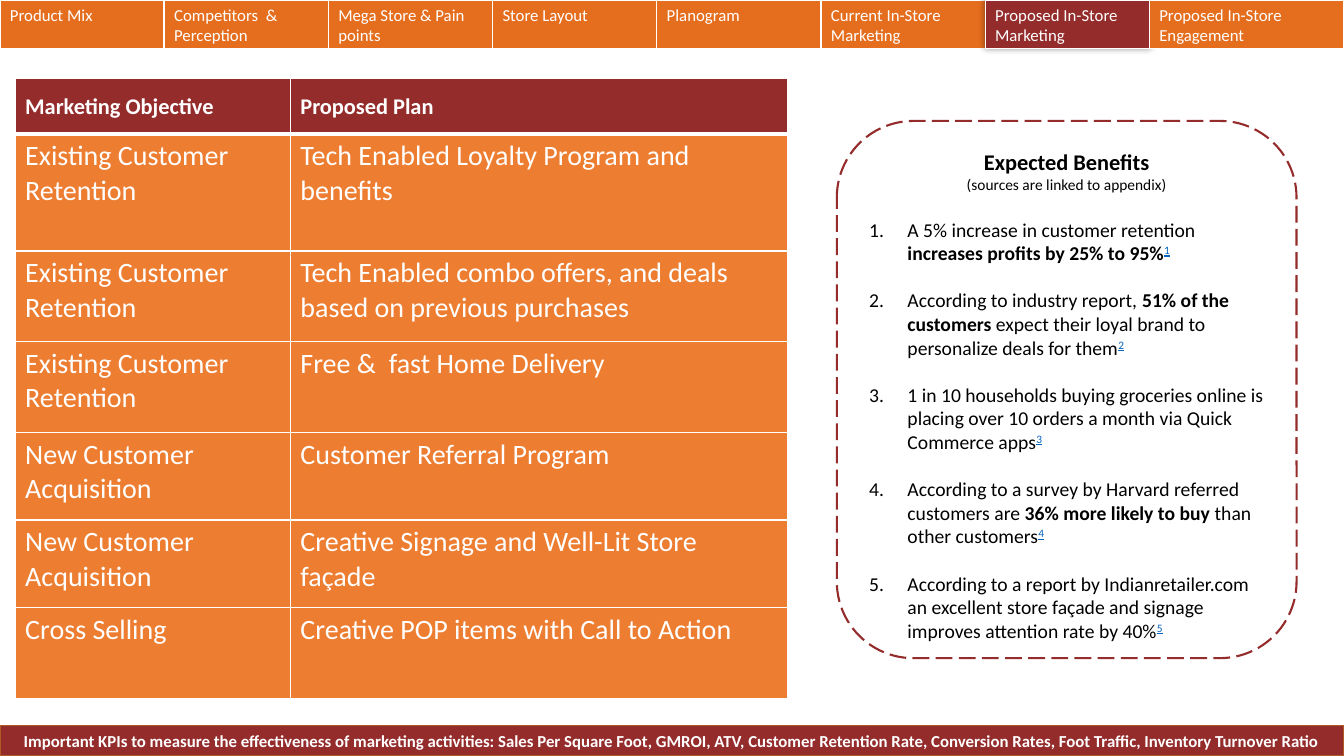
import pptx
import pptx.util
import pptx.dml.color
import pptx.enum.dml
import pptx.enum.shapes
import pptx.enum.text
import pptx.oxml
import pptx.oxml.ns

Inches = pptx.util.Inches
Pt = pptx.util.Pt
SHAPE = pptx.enum.shapes.MSO_SHAPE
ALIGN = pptx.enum.text.PP_ALIGN
ANCHOR = pptx.enum.text.MSO_ANCHOR
NAMESPACE = pptx.oxml.ns.nsdecls("a")
MAROON, ORANGE, WHITE, BLACK = "942C2B", "E56E1E", "FFFFFF", "000000"


def color(hex_string):
    return pptx.dml.color.RGBColor.from_string(hex_string)


def style(span, size, hex_string, bold=False):
    span.font.name = "Calibri"
    span.font.size = Pt(size)
    span.font.bold = bold
    span.font.color.rgb = color(hex_string)


deck = pptx.Presentation()
deck.slide_width = Inches(13.33)
deck.slide_height = Inches(7.5)
page = deck.slides.add_slide(deck.slide_layouts[6])

plans = [
    ("Marketing Objective", "Proposed Plan", 0.55),
    ("Existing Customer Retention", "Tech Enabled Loyalty Program and benefits", 1.16),
    ("Existing Customer Retention", "Tech Enabled combo offers, and deals based on previous purchases", 0.9),
    ("Existing Customer Retention", "Free &  fast Home Delivery", 0.9),
    ("New Customer Acquisition", "Customer Referral Program", 0.87),
    ("New Customer Acquisition", "Creative Signage and Well-Lit Store façade", 0.87),
    ("Cross Selling", "Creative POP items with Call to Action", 0.9),
]
frame = page.shapes.add_table(len(plans), 2, Inches(0.15), Inches(0.78), Inches(7.66), Inches(6.15))
table = frame.table
table.columns[0].width = Inches(2.73)
table.columns[1].width = Inches(4.93)
for row, (objective, plan, height) in enumerate(plans):
    table.rows[row].height = Inches(height)
    header = row == 0
    for column, text in enumerate((objective, plan)):
        cell = table.cell(row, column)
        cell.text_frame.text = text
        style(cell.text_frame.paragraphs[0].runs[0], 16 if header else 20, WHITE, header)
        cell.vertical_anchor = ANCHOR.MIDDLE if header else ANCHOR.TOP
        borders = {"lnL": 1, "lnR": 1, "lnT": 3 if row == 1 else 1, "lnB": 3 if header else 1}
        for side, width in borders.items():
            cell._tc.get_or_add_tcPr().append(pptx.oxml.parse_xml(
                f'<a:{side} {NAMESPACE} w="{Pt(width)}"><a:solidFill>'
                f'<a:srgbClr val="{WHITE}"/></a:solidFill></a:{side}>'))
        cell.fill.solid()
        cell.fill.fore_color.rgb = color(MAROON if header else "ED7D31")

tabs = [
    "Product Mix", "Competitors  & Perception", "Mega Store & Pain points", "Store Layout",
    "Planogram", "Current In-Store Marketing", "Proposed In-Store Marketing",
    "Proposed In-Store Engagement",
]
active_tab = "Proposed In-Store Marketing"
last_left = 11.4
tab_step = last_left / (len(tabs) - 1)
for index, label in enumerate(tabs):
    width = 13.33 - last_left if label == tabs[-1] else tab_step
    tab = page.shapes.add_shape(
        SHAPE.RECTANGLE, Inches(index * tab_step), Inches(0), Inches(width), Inches(0.48))
    tab.shadow.inherit = False
    tab.fill.solid()
    tab.fill.fore_color.rgb = color(MAROON if label == active_tab else ORANGE)
    tab.line.color.rgb = color(WHITE)
    tab.line.width = Pt(1)
    tab.text_frame.text = label
    tab.text_frame.vertical_anchor = ANCHOR.TOP
    para = tab.text_frame.paragraphs[0]
    para.alignment = ALIGN.LEFT
    style(para.runs[0], 12, WHITE)
    if label == active_tab:
        effects = tab._element.spPr.find(pptx.oxml.ns.qn("a:effectLst"))
        effects.append(pptx.oxml.parse_xml(
            f'<a:outerShdw {NAMESPACE} blurRad="{Pt(5)}" dist="0" dir="0">'
            f'<a:srgbClr val="{BLACK}"><a:alpha val="40000"/></a:srgbClr></a:outerShdw>'))

footer = page.shapes.add_shape(SHAPE.RECTANGLE, Inches(0), Inches(7.2), Inches(13.33), Inches(0.3))
footer.shadow.inherit = False
footer.fill.solid()
footer.fill.fore_color.rgb = color(MAROON)
footer.line.color.rgb = color("AF5C24")
footer.line.width = Pt(1)
footer.text_frame.text = (
    "Important KPIs to measure the effectiveness of marketing activities: Sales Per Square Foot, "
    "GMROI, ATV, Customer Retention Rate, Conversion Rates, Foot Traffic, Inventory Turnover Ratio")
footer.text_frame.vertical_anchor = ANCHOR.MIDDLE
footer.text_frame.paragraphs[0].alignment = ALIGN.CENTER
style(footer.text_frame.paragraphs[0].runs[0], 12, WHITE, True)

box = page.shapes.add_shape(
    SHAPE.ROUNDED_RECTANGLE, Inches(8.3), Inches(1.2), Inches(4.56), Inches(5.33))
box.shadow.inherit = False
box.fill.background()
box.line.color.rgb = color(MAROON)
box.line.width = Pt(1.5)
box.line.dash_style = pptx.enum.dml.MSO_LINE.LONG_DASH
box.text_frame.vertical_anchor = ANCHOR.TOP
heading = box.text_frame.paragraphs[0]
heading.text = "Expected Benefits"
heading.alignment = ALIGN.CENTER
style(heading.runs[0], 16, BLACK, True)
note = box.text_frame.add_paragraph()
note.text = "(sources are linked to appendix)"
note.alignment = ALIGN.CENTER
style(note.runs[0], 11, BLACK)

benefits = [
    ("A 5% increase in customer retention ", "increases profits by 25% to 95%", ""),
    ("According to industry report, ", "51% of the customers ",
     "expect their loyal brand to personalize deals for them"),
    ("1 in 10 households buying groceries online is placing over 10 orders a month "
     "via Quick Commerce apps", "", ""),
    ("According to a survey by Harvard referred customers are ", "36% more likely to buy ",
     "than other customers"),
    ("According to a report by Indianretailer.com an excellent store façade and signage "
     "improves attention rate by 40%", "", ""),
]
for number, (opening, emphasis, ending) in enumerate(benefits, 1):
    para = box.text_frame.add_paragraph()
    para.alignment = ALIGN.LEFT
    para.space_before = Pt(17)
    properties = para._p.get_or_add_pPr()
    properties.set("marL", str(Inches(0.38)))
    properties.set("indent", str(-Inches(0.38)))
    properties.append(pptx.oxml.parse_xml(
        f'<a:buClr {NAMESPACE}><a:srgbClr val="{BLACK}"/></a:buClr>'))
    properties.append(pptx.oxml.parse_xml(f'<a:buAutoNum {NAMESPACE} type="arabicPeriod"/>'))
    for text, bold in ((opening, False), (emphasis, True), (ending, False)):
        if text:
            span = para.add_run()
            span.text = text
            style(span, 14, BLACK, bold)
    source = para.add_run()
    source.text = str(number)
    style(source, 14, "0563C1")
    source.font.underline = True
    source._r.get_or_add_rPr().set("baseline", "30000")

deck.save("out.pptx")
